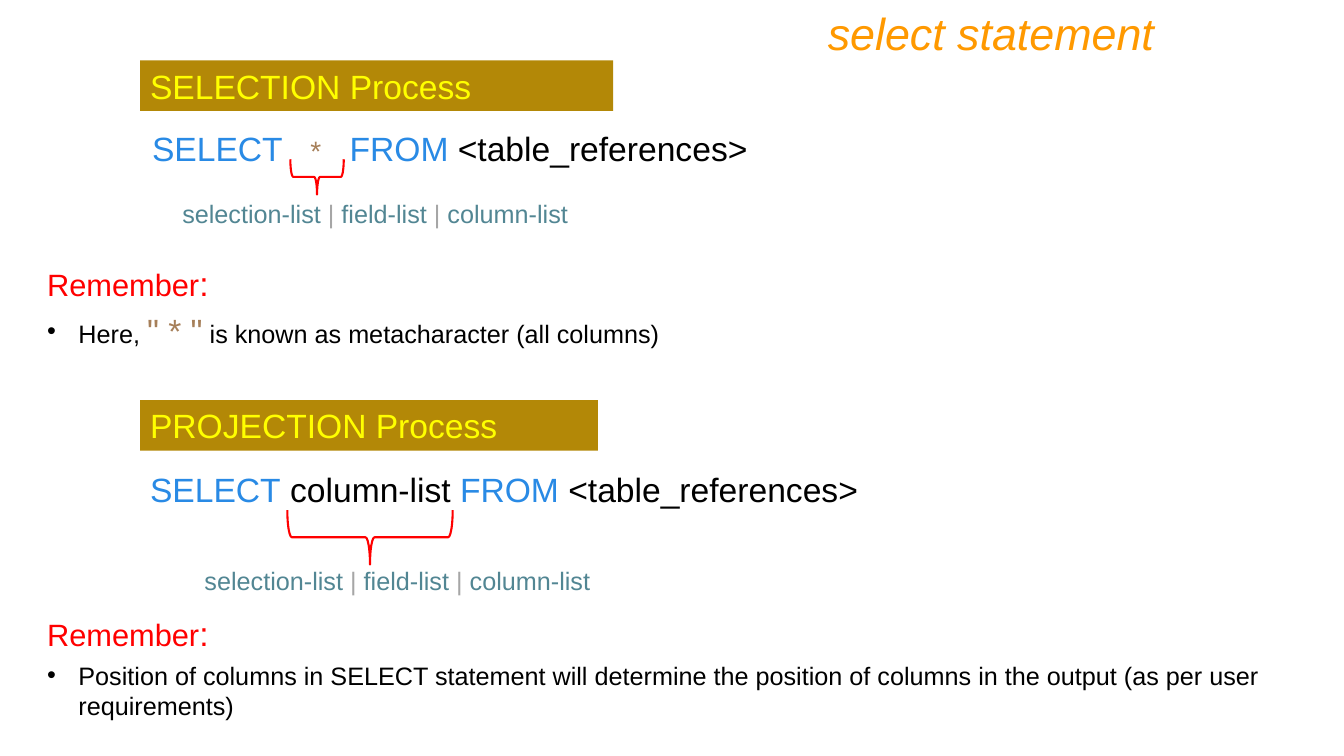
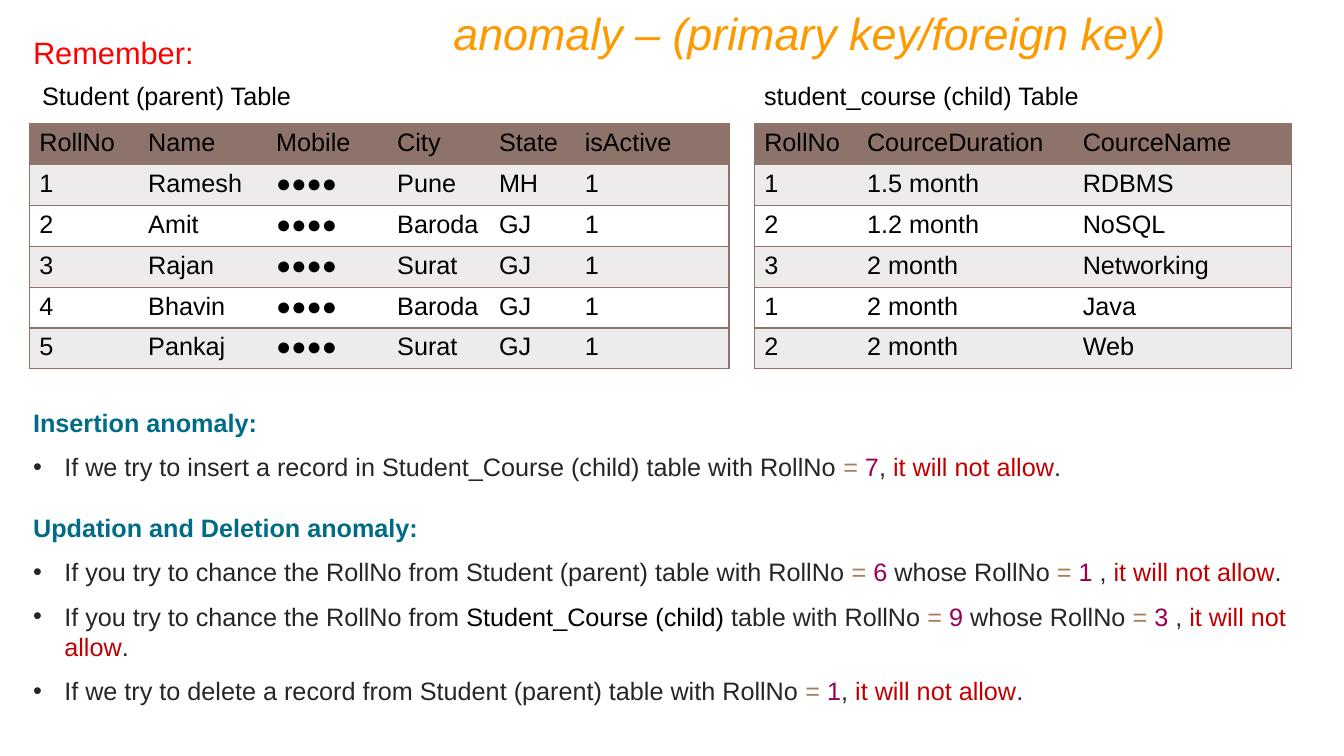
from dataclasses import dataclass

from lxml.etree import SubElement
from pptx import Presentation
from pptx.dml.color import RGBColor
from pptx.enum.shapes import MSO_SHAPE
from pptx.enum.text import MSO_ANCHOR, MSO_AUTO_SIZE, PP_ALIGN
from pptx.oxml.ns import qn
from pptx.slide import Slide
from pptx.table import _Cell
from pptx.text.text import TextFrame, _Paragraph
from pptx.util import Inches, Pt

FONT = "Arial"
BLACK = RGBColor(0x00, 0x00, 0x00)
WHITE = RGBColor(0xFF, 0xFF, 0xFF)
RED = RGBColor(0xFF, 0x00, 0x00)
ORANGE = RGBColor(0xFF, 0x99, 0x00)
GOLD = RGBColor(0xB3, 0x88, 0x07)
YELLOW = RGBColor(0xFF, 0xFF, 0x00)
KEYWORD = RGBColor(0x29, 0x8A, 0xE5)
OPERATOR = RGBColor(0xA6, 0x7F, 0x59)
NUMBER = RGBColor(0x99, 0x00, 0x55)
TEAL = RGBColor(0x52, 0x86, 0x93)
GRAY = RGBColor(0xA6, 0xA6, 0xA6)
HEADING = RGBColor(0x00, 0x6C, 0x86)
BODY = RGBColor(0x26, 0x26, 0x26)
WARNING = RGBColor(0xC0, 0x00, 0x00)
BROWN = RGBColor(0x8E, 0x73, 0x6A)
BAND = RGBColor(0xEE, 0xEB, 0xEB)


@dataclass(frozen=True)
class Piece:
    """A stretch of text in one colour."""

    text: str
    color: RGBColor = BLACK
    size: float | None = None


@dataclass(frozen=True)
class Line:
    """A paragraph made of pieces."""

    pieces: tuple[Piece, ...]
    size: float = 18
    bold: bool = False
    bullet: bool = False
    before: float = 0
    tabs: tuple[float, ...] = ()


@dataclass(frozen=True)
class Box:
    """A frame in inches."""

    left: float
    top: float
    width: float
    height: float

    def lengths(self) -> tuple[Inches, ...]:
        """Return the frame as lengths."""
        return tuple(Inches(value) for value in (self.left, self.top, self.width, self.height))


@dataclass(frozen=True)
class Process:
    """A named query form with its brace, caption and reminder."""

    name: str
    banner: Box
    query: Line
    query_box: Box
    brace: Box
    caption_box: Box
    note: Line
    note_box: Box


@dataclass(frozen=True)
class TableData:
    """A captioned table."""

    caption: str
    caption_box: Box
    left: float
    columns: tuple[float, ...]
    rows: tuple[tuple[str, ...], ...]


def plain(text: str, color: RGBColor = BLACK, size: float = 18) -> Line:
    """Return a line of one colour."""
    return Line((Piece(text, color),), size)


CAPTION = Line((
    Piece("selection-list ", TEAL), Piece("| ", GRAY), Piece("field-list ", TEAL),
    Piece("| ", GRAY), Piece("column-list", TEAL),
))
REMEMBER = Line((Piece("Remember", RED), Piece(":", RED, 24)), 22)

PROCESSES = (
    Process(
        "SELECTION Process", Box(1.39, 0.6, 4.69, 0.5),
        Line((Piece("SELECT", KEYWORD), Piece("\t*", OPERATOR, 20), Piece("\tFROM", KEYWORD),
              Piece(" <table_references>")), 24, tabs=(1.57, 1.96)),
        Box(1.41, 1.22, 7.14, 0.5), Box(2.97, 1.49, 0.35, 0.53), Box(1.71, 1.92, 4.14, 0.4),
        Line((Piece("Here, "), Piece('" * "', OPERATOR, 24),
              Piece(" is known as metacharacter (all columns)")), bullet=True, before=5),
        Box(0.37, 2.56, 6.67, 0.98),
    ),
    Process(
        "PROJECTION Process", Box(1.39, 3.97, 4.54, 0.5),
        Line((Piece("SELECT", KEYWORD), Piece(" column-list"), Piece(" FROM", KEYWORD),
              Piece(" <table_references>")), 24),
        Box(1.39, 4.6, 8.9, 0.5), Box(3.4, 4.51, 0.54, 1.64), Box(1.93, 5.56, 4.14, 0.4),
        Line((Piece("Position of columns in SELECT statement will determine the position of "
                    "columns in the output (as per user requirements)"),), bullet=True, before=5),
        Box(0.37, 6.03, 12.76, 1.18),
    ),
)

HIDDEN = "●●●●"
TABLES = (
    TableData(
        "Student (parent) Table", Box(0.32, 0.75, 6.89, 0.4), 0.29,
        (1.08, 1.27, 1.2, 1.01, 0.85, 1.53),
        (
            ("RollNo", "Name", "Mobile", "City", "State", "isActive"),
            ("1", "Ramesh", HIDDEN, "Pune", "MH", "1"),
            ("2", "Amit", HIDDEN, "Baroda", "GJ", "1"),
            ("3", "Rajan", HIDDEN, "Surat", "GJ", "1"),
            ("4", "Bhavin", HIDDEN, "Baroda", "GJ", "1"),
            ("5", "Pankaj", HIDDEN, "Surat", "GJ", "1"),
        ),
    ),
    TableData(
        "student_course (child) Table", Box(7.48, 0.75, 5.33, 0.4), 7.48,
        (1.02, 2.14, 2.17),
        (
            ("RollNo", "CourceDuration", "CourceName"),
            ("1", "1.5 month", "RDBMS"),
            ("2", "1.2 month", "NoSQL"),
            ("3", "2 month", "Networking"),
            ("1", "2 month", "Java"),
            ("2", "2 month", "Web"),
        ),
    ),
)


def anomaly_heading(text: str, before: float = 0) -> Line:
    """Return a bold anomaly heading."""
    return Line((Piece(text, HEADING),), bold=True, before=before)


def anomaly_bullet(lead: tuple[Piece, ...], number: str, comma: str = ", ",
                   current: str = "") -> Line:
    """Return a rule that ends with the refusal."""
    pieces = (*lead, Piece("= ", OPERATOR), Piece(number, NUMBER))
    if current:
        pieces += (Piece(" whose RollNo ", BODY), Piece("= ", OPERATOR), Piece(current, NUMBER))
    pieces += (Piece(comma, BODY), Piece("it will not allow", WARNING), Piece(".", BODY))
    return Line(pieces, bullet=True, before=10)


ANOMALIES = (
    anomaly_heading("Insertion anomaly:"),
    anomaly_bullet((Piece("If we try to insert a record in Student_Course (child) table "
                          "with RollNo ", BODY),), "7"),
    anomaly_heading("Updation and Deletion anomaly:", 22),
    anomaly_bullet((Piece("If you try to chance the RollNo from Student (parent) table "
                          "with RollNo ", BODY),), "6", " , ", "1"),
    anomaly_bullet((Piece("If you try to chance the RollNo from ", BODY),
                    Piece("Student_Course (child)"), Piece(" table with RollNo ", BODY)),
                   "9", " , ", "3"),
    anomaly_bullet((Piece("If we try to delete a record from Student (parent) table "
                          "with RollNo ", BODY),), "1"),
)


def write_line(paragraph: _Paragraph, line: Line) -> None:
    """Fill a paragraph with a line."""
    properties = paragraph._p.get_or_add_pPr()
    if line.bullet:
        properties.set("marL", str(Inches(0.31)))
        properties.set("indent", str(-Inches(0.31)))
        SubElement(properties, qn("a:buFont"), typeface=FONT)
        SubElement(properties, qn("a:buChar"), char="•")
    if line.tabs:
        tab_list = SubElement(properties, qn("a:tabLst"))
        for position in line.tabs:
            SubElement(tab_list, qn("a:tab"), pos=str(Inches(position)), algn="l")
    paragraph.space_before = Pt(line.before)
    paragraph.font.name = FONT
    paragraph.font.size = Pt(line.size)
    paragraph.font.bold = line.bold
    same_color = len({piece.color for piece in line.pieces}) == 1
    if same_color:
        paragraph.font.color.rgb = line.pieces[0].color
    for piece in line.pieces:
        run = paragraph.add_run()
        run.text = piece.text
        if not same_color:
            run.font.color.rgb = piece.color
        if piece.size:
            run.font.size = Pt(piece.size)


def write_lines(frame: TextFrame, lines: tuple[Line, ...]) -> None:
    """Fill a text frame with lines."""
    frame.word_wrap = True
    for index, line in enumerate(lines):
        write_line(frame.add_paragraph() if index else frame.paragraphs[0], line)


def add_text(slide: Slide, box: Box, *lines: Line) -> None:
    """Add a text box."""
    write_lines(slide.shapes.add_textbox(*box.lengths()).text_frame, lines)


def add_titled_slide(presentation: Presentation, text: str, right: float) -> Slide:
    """Add a slide whose italic title ends at the right edge given."""
    slide = presentation.slides.add_slide(presentation.slide_layouts[5])
    title = slide.shapes.title
    title.left, title.top, title.width, title.height = Box(1.67, 0, right - 1.67, 0.64).lengths()
    frame = title.text_frame
    frame.auto_size = MSO_AUTO_SIZE.NONE
    frame.vertical_anchor = MSO_ANCHOR.MIDDLE
    write_lines(frame, (plain(text, ORANGE, 32),))
    paragraph = frame.paragraphs[0]
    paragraph.alignment = PP_ALIGN.RIGHT
    paragraph.font.italic = True
    return slide


def add_process(slide: Slide, process: Process) -> None:
    """Draw a process with its banner, query, brace and reminder."""
    banner = slide.shapes.add_shape(MSO_SHAPE.RECTANGLE, *process.banner.lengths())
    banner.shadow.inherit = False
    banner.fill.solid()
    banner.fill.fore_color.rgb = GOLD
    banner.line.fill.background()
    write_lines(banner.text_frame, (plain(process.name, YELLOW, 24),))
    banner.text_frame.paragraphs[0].alignment = PP_ALIGN.LEFT
    add_text(slide, process.query_box, process.query)
    brace = slide.shapes.add_shape(MSO_SHAPE.LEFT_BRACE, *process.brace.lengths())
    brace.shadow.inherit = False
    brace.rotation = 270
    brace.fill.background()
    brace.line.color.rgb = RED
    brace.line.width = Pt(1.5)
    add_text(slide, process.caption_box, CAPTION)
    add_text(slide, process.note_box, REMEMBER, process.note)


def set_borders(cell: _Cell, first: bool, last: bool) -> None:
    """Rule a cell above and below, and at the outer sides of the table."""
    properties = cell._tc.get_or_add_tcPr()
    for side, drawn in (("L", first), ("R", last), ("T", True), ("B", True)):
        border = SubElement(properties, qn(f"a:ln{side}"), w=str(Pt(1)))
        if drawn:
            SubElement(SubElement(border, qn("a:solidFill")), qn("a:srgbClr"), val=str(BROWN))
        else:
            SubElement(border, qn("a:noFill"))


def add_data_table(slide: Slide, data: TableData) -> None:
    """Draw a captioned table with banded rows."""
    add_text(slide, data.caption_box, plain(data.caption))
    box = Box(data.left, 1.23, sum(data.columns), 2.43)
    table = slide.shapes.add_table(len(data.rows), len(data.columns), *box.lengths()).table
    for column, width in zip(table.columns, data.columns):
        column.width = Inches(width)
    for row_index, values in enumerate(data.rows):
        fill = BROWN if row_index == 0 else BAND if row_index % 2 else WHITE
        for column_index, value in enumerate(values):
            cell = table.cell(row_index, column_index)
            set_borders(cell, column_index == 0, column_index == len(values) - 1)
            cell.fill.solid()
            cell.fill.fore_color.rgb = fill
            write_line(cell.text_frame.paragraphs[0], plain(value))


def main() -> None:
    """Build and save the presentation."""
    presentation = Presentation()
    presentation.slide_width = Inches(13.33)
    presentation.slide_height = Inches(7.5)
    statement = add_titled_slide(presentation, "select statement", 11.55)
    for process in PROCESSES:
        add_process(statement, process)
    anomaly = add_titled_slide(presentation, "anomaly – (primary key/foreign key)", 11.67)
    add_text(anomaly, Box(0.23, 0.29, 1.87, 0.47), plain("Remember:", RED, 22))
    for data in TABLES:
        add_data_table(anomaly, data)
    add_text(anomaly, Box(0.23, 3.99, 12.89, 3.06), *ANOMALIES)
    presentation.save("out.pptx")


if __name__ == "__main__":
    main()
